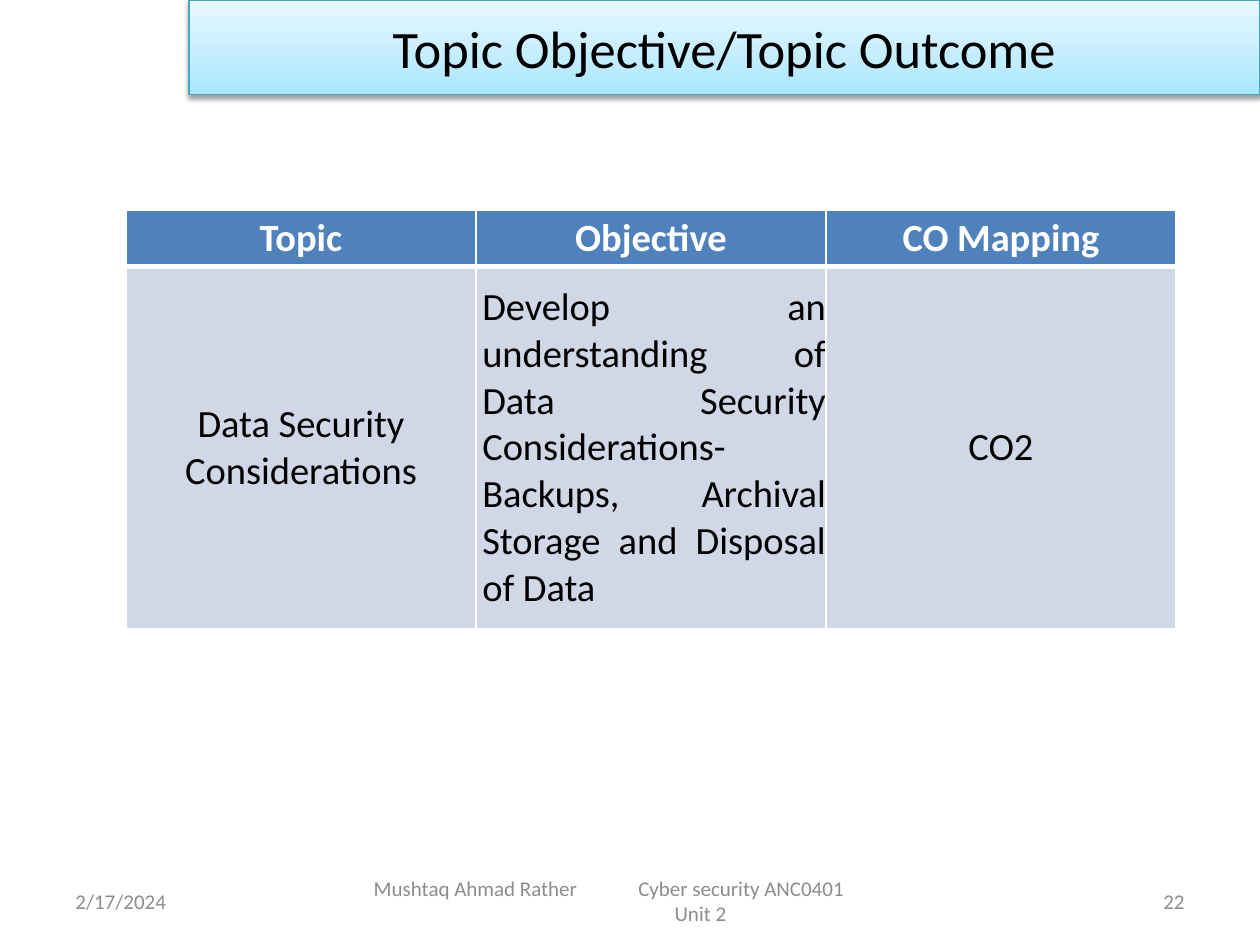
from copy import deepcopy
from dataclasses import dataclass

from lxml.etree import SubElement
from pptx import Presentation
from pptx.dml.color import RGBColor
from pptx.enum.shapes import MSO_SHAPE
from pptx.enum.text import MSO_ANCHOR, PP_ALIGN
from pptx.oxml.ns import qn
from pptx.util import Inches, Pt

COLUMNS, ROWS = 120, 90
WIDTH, HEIGHT = Inches(10), Inches(7.5)


@dataclass(frozen=True)
class Theme:
    font: str = "Calibri"
    title_size: int = 30
    table_size: int = 22
    footer_size: int = 12
    ink: str = "000000"
    white: str = "FFFFFF"
    muted: str = "8C8C8C"
    header_fill: str = "4F81BD"
    body_fill: str = "D0D8E8"
    banner_line: str = "46AAC5"
    banner_stops: tuple = ((0, "A7E6FF"), (0.35, "C1EDFF"), (1, "E7F8FF"))


THEME = Theme()


def across(columns):
    return round(WIDTH * columns / COLUMNS)


def down(rows):
    return round(HEIGHT * rows / ROWS)


def place(left, top, width, height):
    return across(left), down(top), across(width), down(height)


def set_attributes(target, values):
    for name, value in values.items():
        setattr(target, name, value)


def write(paragraph, text, size, color, align, bold=False):
    paragraph.alignment = align
    run = paragraph.add_run()
    run.text = text
    set_attributes(run.font, {"name": THEME.font, "size": Pt(size), "bold": bold})
    run.font.color.rgb = RGBColor.from_string(color)


def add_tab_stop(paragraph, position):
    tabs = SubElement(paragraph._p.get_or_add_pPr(), qn("a:tabLst"))
    SubElement(tabs, qn("a:tab"), pos=str(position), algn="l")


def add_footer(slide, left, width, lines, indent=0, tab=None):
    shape = slide.shapes.add_textbox(*place(left, 83.4, width, 4.8))
    frame = shape.text_frame
    set_attributes(frame, {"word_wrap": True, "vertical_anchor": MSO_ANCHOR.MIDDLE})
    frame.margin_left += across(indent)
    for index, (text, align) in enumerate(lines):
        paragraph = frame.add_paragraph() if index else frame.paragraphs[0]
        if "\t" in text:
            add_tab_stop(paragraph, across(tab))
        write(paragraph, text, THEME.footer_size, THEME.muted, align)


def fill_banner(shape):
    shape.fill.gradient()
    shape.fill.gradient_angle = 90
    stop_list = shape._element.spPr.find(".//" + qn("a:gsLst"))
    stop_list.append(deepcopy(stop_list[0]))
    for stop, (position, color) in zip(shape.fill.gradient_stops, THEME.banner_stops):
        stop.color.rgb = RGBColor.from_string(color)
        stop.position = position


def add_shadow(shape):
    shape.shadow.inherit = False
    effects = shape._element.spPr.find(qn("a:effectLst"))
    shadow = SubElement(effects, qn("a:outerShdw"), blurRad=str(Pt(3.1)),
                        dist=str(Pt(1.6)), dir="5400000", rotWithShape="0")
    color = SubElement(shadow, qn("a:srgbClr"), val=THEME.ink)
    SubElement(color, qn("a:alpha"), val="38000")


def add_banner(slide, text):
    shape = slide.shapes.add_shape(MSO_SHAPE.RECTANGLE, *place(18, 0, 102, 9))
    fill_banner(shape)
    shape.line.color.rgb = RGBColor.from_string(THEME.banner_line)
    shape.line.width = Pt(0.75)
    add_shadow(shape)
    frame = shape.text_frame
    set_attributes(frame, {"word_wrap": True, "vertical_anchor": MSO_ANCHOR.MIDDLE})
    write(frame.paragraphs[0], text, THEME.title_size, THEME.ink, PP_ALIGN.CENTER)


def add_borders(cell, widths):
    properties = cell._tc.get_or_add_tcPr()
    for side, width in widths.items():
        line = SubElement(properties, qn(f"a:ln{side}"), w=str(Pt(width)))
        fill = SubElement(line, qn("a:solidFill"))
        SubElement(fill, qn("a:srgbClr"), val=THEME.white)


def format_cell(cell, text, is_header, align, left_margin):
    thick_side = "B" if is_header else "T"
    add_borders(cell, {side: 3 if side == thick_side else 1 for side in "LRTB"})
    cell.fill.solid()
    fill = THEME.header_fill if is_header else THEME.body_fill
    cell.fill.fore_color.rgb = RGBColor.from_string(fill)
    set_attributes(cell, {
        "vertical_anchor": MSO_ANCHOR.MIDDLE, "margin_left": left_margin,
        "margin_right": 0, "margin_top": 0, "margin_bottom": 0,
    })
    color = THEME.white if is_header else THEME.ink
    write(cell.text_frame.paragraphs[0], text, THEME.table_size, color, align, is_header)


def add_objective_table(slide, rows):
    heights = (5.4, 28 + 0.5)
    table = slide.shapes.add_table(
        len(rows), len(rows[0]), *place(12, 20, 100, sum(heights))).table
    for row, height in zip(table.rows, heights):
        row.height = down(height)
    for row_index, texts in enumerate(rows):
        for column_index, text in enumerate(texts):
            justified = row_index == 1 and column_index == 1
            align = PP_ALIGN.JUSTIFY if justified else PP_ALIGN.CENTER
            format_cell(table.cell(row_index, column_index), text, row_index == 0,
                        align, Inches(0.05) if justified else 0)
    table.rows[1].height = down(34.5)


def main():
    presentation = Presentation()
    set_attributes(presentation, {"slide_width": WIDTH, "slide_height": HEIGHT})
    slide = presentation.slides.add_slide(presentation.slide_layouts[6])
    add_footer(slide, 6, 28, [("2/17/2024", PP_ALIGN.LEFT)])
    add_footer(slide, 86, 28, [("22", PP_ALIGN.RIGHT)])
    add_banner(slide, "Topic Objective/Topic Outcome")
    add_footer(slide, 33, 66, [
        ("Mushtaq Ahmad Rather\tCyber security ANC0401", PP_ALIGN.LEFT),
        ("Unit 2", PP_ALIGN.CENTER),
    ], indent=1.4, tab=25.2)
    add_objective_table(slide, [
        ("Topic", "Objective", "CO Mapping"),
        ("Data Security Considerations",
         "Develop an understanding of Data Security Considerations-Backups, "
         "Archival Storage and Disposal of Data",
         "CO2"),
    ])
    presentation.save("out.pptx")


if __name__ == "__main__":
    main()
